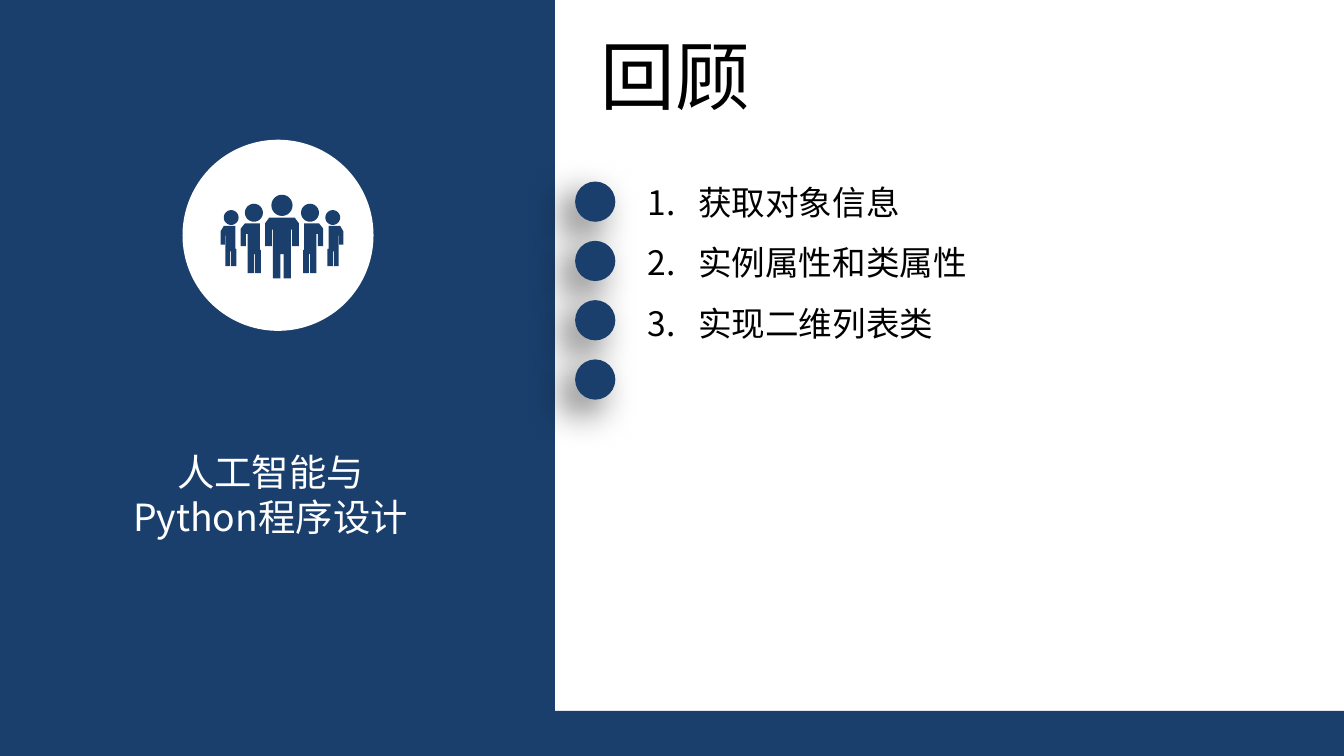
"""Build the review slide of a course on AI and Python programming."""
from math import cos, pi, sin

from lxml import etree
from pptx import Presentation
from pptx.dml.color import RGBColor
from pptx.enum.shapes import MSO_SHAPE
from pptx.enum.text import MSO_ANCHOR, MSO_AUTO_SIZE, PP_ALIGN
from pptx.oxml.ns import qn
from pptx.util import Cm, Pt

RECT, OVAL = MSO_SHAPE.RECTANGLE, MSO_SHAPE.OVAL
LEFT, CENTER = PP_ALIGN.LEFT, PP_ALIGN.CENTER
TOP, NO_FIT = MSO_ANCHOR.TOP, MSO_AUTO_SIZE.NONE
NAVY = RGBColor(0x1A, 0x3F, 0x6C)
WHITE = RGBColor(0xFF, 0xFF, 0xFF)
BLACK = RGBColor(0, 0, 0)
FONT = "Noto Sans CJK SC"

TITLE = ["回顾"]
COURSE = ["人工智能与", "Python程序设计"]
TOPICS = ["获取对象信息", "实例属性和类属性", "实现二维列表类"]

WIDTH, HEIGHT = 25.4, 14.28
PANEL_W, BAR_TOP = 10.49, 13.43
DOT_COUNT, DOT_LEFT, DOT_TOP, DOT_SIZE, DOT_PITCH = 4, 10.87, 3.43, 0.76, 1.12

ICON_AXIS = 5.33
HEADS = [(0, 3.88, 0.2), (-0.53, 4.02, 0.17), (-0.96, 4.11, 0.14)]
LEADER_HALF = [(0, 4.11), (-0.24, 4.11), (-0.32, 4.22), (-0.32, 4.65), (-0.19, 4.65),
               (-0.19, 4.34), (-0.17, 4.34), (-0.17, 5.26), (-0.03, 5.26),
               (-0.03, 4.8), (0, 4.8)]
SIDE_BODIES = [
    [(-0.42, 4.22), (-0.7, 4.22), (-0.78, 4.32), (-0.78, 4.65), (-0.68, 4.65),
     (-0.68, 4.42), (-0.65, 4.42), (-0.65, 5.16), (-0.53, 5.16), (-0.53, 4.8),
     (-0.51, 4.8), (-0.51, 5.16), (-0.4, 5.16), (-0.4, 4.72), (-0.42, 4.72)],
    [(-0.88, 4.27), (-1.1, 4.27), (-1.16, 4.37), (-1.16, 4.62), (-1.08, 4.62),
     (-1.08, 4.45), (-1.07, 4.45), (-1.07, 5.03), (-0.98, 5.03), (-0.98, 4.75),
     (-0.96, 4.75), (-0.96, 5.03), (-0.86, 5.03), (-0.86, 4.7), (-0.88, 4.7)],
]


def paint(sp, color):
    sp.fill.solid()
    sp.fill.fore_color.rgb = color
    sp.line.fill.background()
    sp.shadow.inherit = False
    return sp


def add_shape(s, kind, color, *box):
    return paint(s.shapes.add_shape(kind, *map(Cm, box)), color)


def cast_shadow(sp):
    effects = sp._element.spPr.find(qn("a:effectLst"))
    shadow = etree.SubElement(effects, qn("a:outerShdw"), blurRad=str(Pt(20)),
                              dist=str(Pt(10)), dir="8100000", algn="tr", rotWithShape="0")
    color = etree.SubElement(shadow, qn("a:srgbClr"), val=str(BLACK))
    etree.SubElement(color, qn("a:alpha"), val="60000")


def mirror(points):
    return [(-x, y) for x, y in points]


def circle(x, y, radius, steps=24):
    angles = [2 * pi * i / steps for i in range(steps)]
    return [(x + radius * cos(a), y + radius * sin(a)) for a in angles]


def add_people(s):
    center, *sides = [circle(*head) for head in HEADS]
    leader = LEADER_HALF + mirror(LEADER_HALF[-2:0:-1])
    outlines = [center, leader]
    for part in sides + SIDE_BODIES:
        outlines += [part, mirror(part)]
    outlines = [[(Cm(ICON_AXIS + x), Cm(y)) for x, y in o] for o in outlines]
    builder = s.shapes.build_freeform(*outlines[0][0])
    for i, outline in enumerate(outlines):
        if i:
            builder.move_to(*outline[0])
        builder.add_line_segments(outline[1:], close=True)
    paint(builder.convert_to_shape(), NAVY)


def write(sp, box, lines, size, color, frame, para, numbered=False):
    sp.left, sp.top, sp.width, sp.height = map(Cm, box)
    tf = sp.text_frame
    for name, value in {"auto_size": NO_FIT, "vertical_anchor": TOP, **frame}.items():
        setattr(tf, name, value)
    for i, line in enumerate(lines):
        p = tf.add_paragraph() if i else tf.paragraphs[0]
        for name, value in {"space_before": Pt(0), **para}.items():
            setattr(p, name, value)
        if numbered:
            pPr = p._p.get_or_add_pPr()
            pPr.set("marL", str(Cm(0.95)))
            pPr.set("indent", str(-Cm(0.95)))
            etree.SubElement(pPr, qn("a:buFont"), typeface="+mj-lt")
            etree.SubElement(pPr, qn("a:buAutoNum"), type="arabicPeriod")
        r = p.add_run()
        r.text = line
        r.font.size, r.font.name = Pt(size), FONT
        r.font.color.rgb = color
        etree.SubElement(r._r.get_or_add_rPr(), qn("a:ea"), typeface=FONT)


def main():
    prs = Presentation()
    prs.slide_width, prs.slide_height = Cm(WIDTH), Cm(HEIGHT)
    s = prs.slides.add_slide(prs.slide_layouts[1])
    title, body = s.placeholders

    add_shape(s, RECT, NAVY, 0, BAR_TOP, WIDTH, HEIGHT - BAR_TOP)
    add_shape(s, RECT, NAVY, 0, 0, PANEL_W, HEIGHT)
    add_shape(s, OVAL, WHITE, 3.45, 2.64, 3.61, 3.61)
    add_people(s)
    for i in range(DOT_COUNT):
        top = DOT_TOP + i * DOT_PITCH
        cast_shadow(add_shape(s, OVAL, NAVY, DOT_LEFT, top, DOT_SIZE, DOT_SIZE))

    write(title, (11.1, 0.43, 3.35, 1.96), TITLE, 40, BLACK,
          {"word_wrap": False}, {"alignment": LEFT})
    write(body, (11.99, 2.92, 10.69, 3.71), TOPICS, 18, BLACK,
          {"word_wrap": True}, {"alignment": LEFT, "line_spacing": 1.5}, numbered=True)
    course = s.shapes.add_textbox(0, 0, 0, 0)
    margins = dict.fromkeys(("margin_left", "margin_top", "margin_right", "margin_bottom"), 0)
    write(course, (1.37, 8.48, 7.49, 1.7), COURSE, 20, WHITE,
          {"word_wrap": True, **margins}, {"alignment": CENTER})
    prs.save("out.pptx")


if __name__ == "__main__":
    main()
